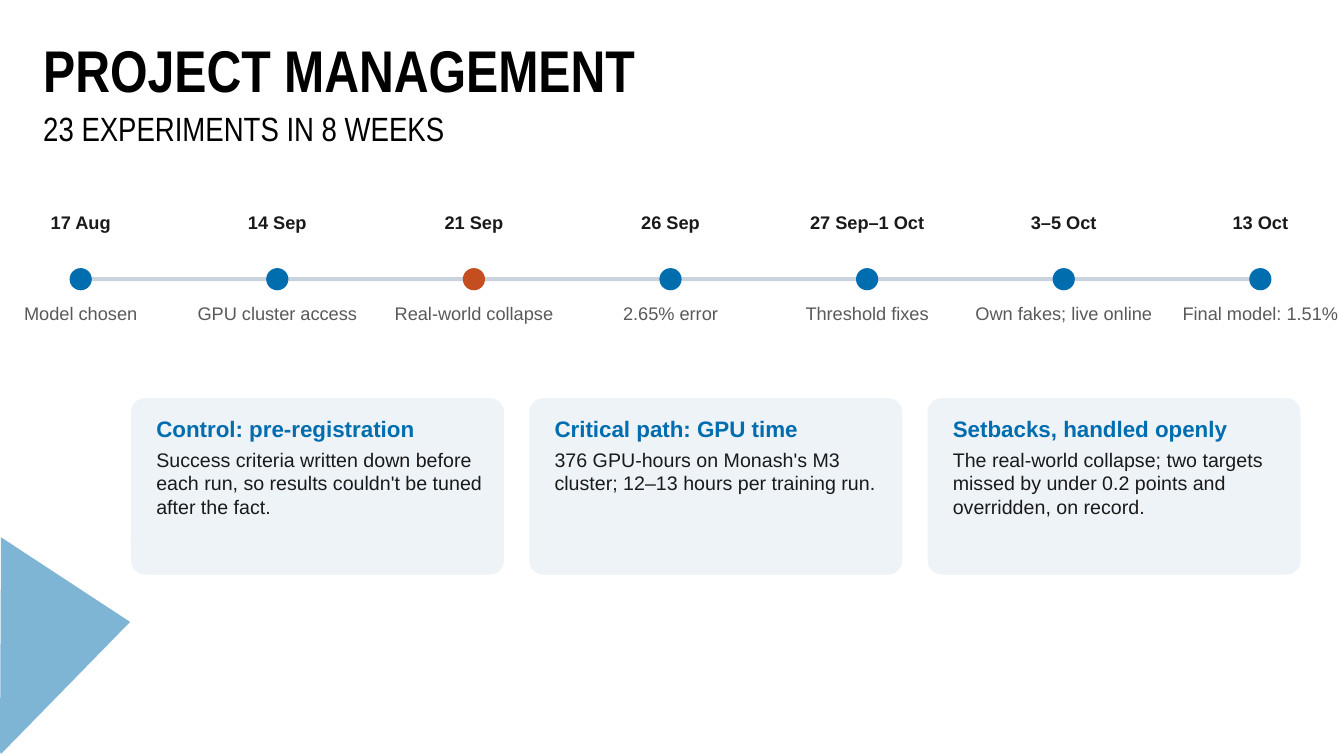
from dataclasses import dataclass

from lxml import etree
from pptx import Presentation
from pptx.dml.color import RGBColor
from pptx.enum.shapes import MSO_SHAPE as Preset
from pptx.enum.text import MSO_ANCHOR as Anchor, PP_ALIGN as Align
from pptx.oxml.ns import qn
from pptx.util import Inches, Pt

TITLE = "PROJECT MANAGEMENT"
SUBTITLE = "23 EXPERIMENTS IN 8 WEEKS"

# date, event, is a setback
MILESTONES = [
    ("17 Aug", "Model chosen", False),
    ("14 Sep", "GPU cluster access", False),
    ("21 Sep", "Real-world collapse", True),
    ("26 Sep", "2.65% error", False),
    ("27 Sep–1 Oct", "Threshold fixes", False),
    ("3–5 Oct", "Own fakes; live online", False),
    ("13 Oct", "Final model: 1.51%", False),
]

CARDS = [
    ("Control: pre-registration",
     "Success criteria written down before each run, so results couldn't be "
     "tuned after the fact."),
    ("Critical path: GPU time",
     "376 GPU-hours on Monash's M3 cluster; 12–13 hours per training run."),
    ("Setbacks, handled openly",
     "The real-world collapse; two targets missed by under 0.2 points and "
     "overridden, on record."),
]

CORNER_POINTS = [(1.29, 6.17), (0.01, 5.33), (0, 7.46), (0.01, 7.48)]


@dataclass(frozen=True)
class Theme:
    heading_font: str = "Arial Narrow"
    body_font: str = "Arial"
    black: str = "000000"
    ink: str = "1A1A1A"
    muted: str = "595959"
    blue: str = "006DAE"
    corner: str = "006CAB"
    alert: str = "C44E1F"
    track: str = "C8D3DE"
    card: str = "EEF3F8"
    title_size: int = 42
    subtitle_size: int = 24
    card_title_size: int = 16
    card_body_size: int = 14
    label_size: int = 13


THEME = Theme()


def paint(shape, color):
    """Give a shape a flat fill without line or shadow."""
    shape.shadow.inherit = False
    shape.fill.solid()
    shape.fill.fore_color.rgb = RGBColor.from_string(color)
    shape.line.fill.background()


def add_flat_shape(slide, preset, left, top, width, height, color):
    shape = slide.shapes.add_shape(
        preset, Inches(left), Inches(top), Inches(width), Inches(height))
    paint(shape, color)
    return shape


def add_text_frame(slide, left, top, width, height, inset=True):
    box = slide.shapes.add_textbox(
        Inches(left), Inches(top), Inches(width), Inches(height))
    frame = box.text_frame
    frame.word_wrap = True
    frame.vertical_anchor = Anchor.TOP
    if not inset:
        frame.margin_left = frame.margin_right = 0
        frame.margin_top = frame.margin_bottom = 0
    return frame


def write(paragraph, text, size, color, bold=False, font=THEME.body_font):
    run = paragraph.add_run()
    run.text = text
    run.font.name = font
    run.font.size = Pt(size)
    run.font.bold = bold
    run.font.color.rgb = RGBColor.from_string(color)


def add_corner(slide):
    start, *rest = [(Inches(x), Inches(y)) for x, y in CORNER_POINTS]
    builder = slide.shapes.build_freeform(*start)
    builder.add_line_segments(rest, close=True)
    corner = builder.convert_to_shape()
    paint(corner, THEME.corner)
    color = corner.fill._xPr.find(qn("a:solidFill"))[0]
    etree.SubElement(color, qn("a:alpha"), val="50000")


def add_headings(slide):
    for text, top, height, size, bold in [
        (SUBTITLE, 1.07, 0.51, THEME.subtitle_size, False),
        (TITLE, 0.36, 0.81, THEME.title_size, True),
    ]:
        paragraph = add_text_frame(slide, 0.33, top, 8.15, height).paragraphs[0]
        paragraph.line_spacing = 0.9
        write(paragraph, text, size, THEME.black, bold, THEME.heading_font)


def add_timeline(slide):
    left, center_y, length = 0.8, 2.77, 11.7
    thickness, dot, label_width = 0.04, 0.22, 1.8
    step = length / (len(MILESTONES) - 1)
    add_flat_shape(slide, Preset.RECTANGLE, left, center_y - thickness / 2,
                   length, thickness, THEME.track)
    for index, (date, event, setback) in enumerate(MILESTONES):
        center_x = left + index * step
        add_flat_shape(slide, Preset.OVAL, center_x - dot / 2,
                       center_y - dot / 2, dot, dot,
                       THEME.alert if setback else THEME.blue)
        for text, top, height, color, bold in [
            (date, 2.1, 0.4, THEME.ink, True),
            (event, 3, 0.7, THEME.muted, False),
        ]:
            frame = add_text_frame(slide, center_x - label_width / 2, top,
                                   label_width, height, inset=False)
            paragraph = frame.paragraphs[0]
            paragraph.alignment = Align.CENTER
            write(paragraph, text, THEME.label_size, color, bold)


def add_cards(slide):
    left, top, width, height, gap = 1.3, 3.95, 3.7, 1.75, 0.25
    for index, (title, body) in enumerate(CARDS):
        x = left + index * (width + gap)
        card = add_flat_shape(slide, Preset.ROUNDED_RECTANGLE, x, top,
                              width, height, THEME.card)
        card.adjustments[0] = 0.08
        frame = add_text_frame(slide, x + 0.25, top + 0.17, 3.25, 1.5,
                               inset=False)
        heading = frame.paragraphs[0]
        heading.space_after = Pt(4)
        write(heading, title, THEME.card_title_size, THEME.blue, bold=True)
        write(frame.add_paragraph(), body, THEME.card_body_size, THEME.ink)


def main():
    presentation = Presentation()
    presentation.slide_width = Inches(13.33)
    presentation.slide_height = Inches(7.5)
    slide = presentation.slides.add_slide(presentation.slide_layouts[6])
    add_corner(slide)
    add_headings(slide)
    add_timeline(slide)
    add_cards(slide)
    presentation.save("out.pptx")


if __name__ == "__main__":
    main()
